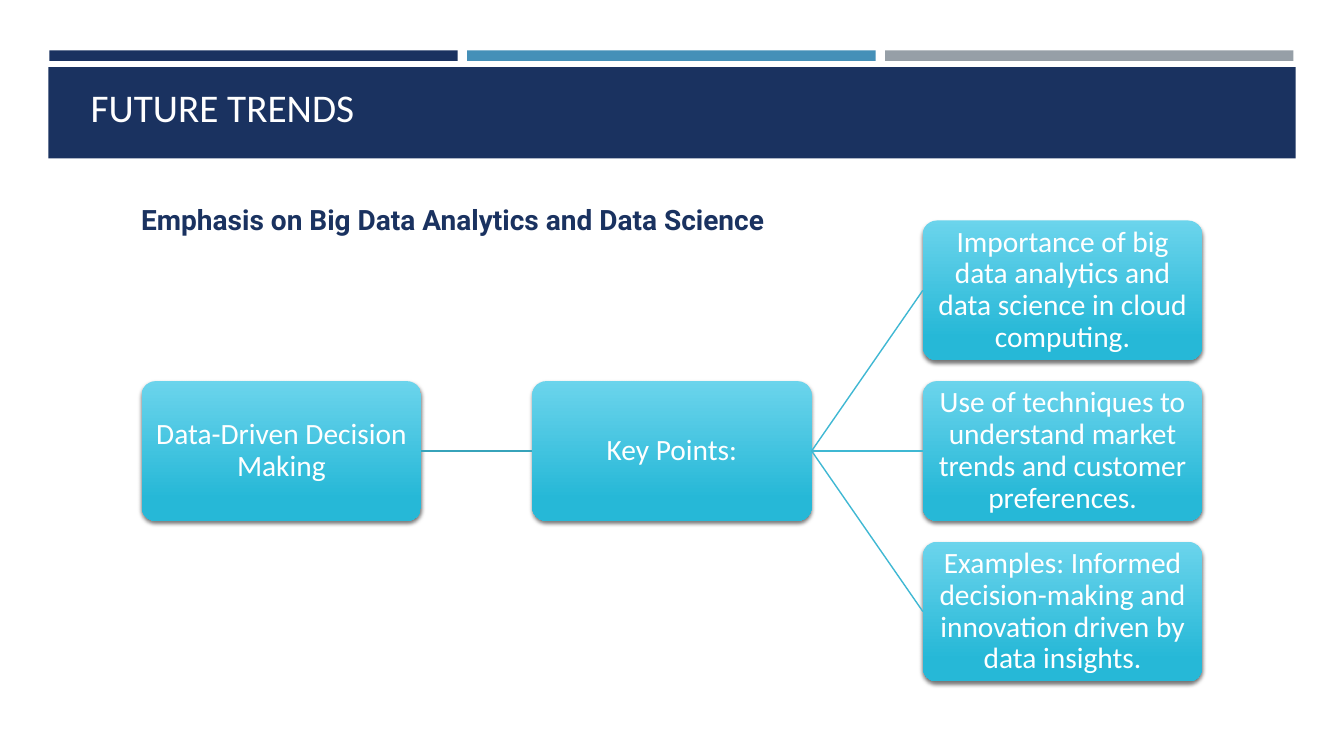
from dataclasses import dataclass

from lxml.etree import SubElement
from pptx import Presentation
from pptx.dml.color import RGBColor
from pptx.enum.shapes import MSO_CONNECTOR, MSO_SHAPE
from pptx.enum.text import MSO_ANCHOR, PP_ALIGN
from pptx.oxml.ns import qn
from pptx.shapes.autoshape import Shape
from pptx.slide import Slide
from pptx.text.text import TextFrame
from pptx.util import Emu, Pt


@dataclass(frozen=True)
class Theme:
    navy: str = "1A3260"
    blue: str = "4590B8"
    grey: str = "969FA7"
    white: str = "FFFFFF"
    node_top: str = "6BD4EC"
    node_bottom: str = "26B8D7"
    trunk: str = "37A3BA"
    branch: str = "3FB8D3"
    shadow: str = "000000"
    body_font: str = "Calibri"
    heading_font: str = "Roboto"
    title_size: int = 28
    heading_size: int = 20
    node_size: int = 21


@dataclass(frozen=True)
class Area:
    left: int
    top: int
    width: int
    height: int

    def emu(self) -> tuple[Emu, Emu, Emu, Emu]:
        return px(self.left), px(self.top), px(self.width), px(self.height)


@dataclass(frozen=True)
class Node:
    text: str
    column: int
    row: int


@dataclass(frozen=True)
class Link:
    start: int
    end: int
    color: str


THEME = Theme()
EMU_PER_PX = 9525
RIGHT_SIDE, LEFT_SIDE = 3, 1

BAR_COLORS = (THEME.navy, THEME.blue, THEME.grey)
FIRST_BAR = Area(47, 48, 389, 10)
BAR_PITCH = 398
BANNER = Area(46, 64, 1188, 87)
TITLE = Area(77, 65, 1104, 64)
HEADING = Area(125, 188, 740, 42)

FIRST_NODE = Area(135, 210, 266, 133)
COLUMN_PITCH, ROW_PITCH = 372, 153
NODES = (
    Node("Data-Driven Decision Making", 0, 1),
    Node("Key Points:", 1, 1),
    Node("Importance of big data analytics and data science in cloud computing.", 2, 0),
    Node("Use of techniques to understand market trends and customer preferences.", 2, 1),
    Node("Examples: Informed decision-making and innovation driven by data insights.", 2, 2),
)
LINKS = (
    Link(0, 1, THEME.trunk),
    Link(1, 2, THEME.branch),
    Link(1, 3, THEME.branch),
    Link(1, 4, THEME.branch),
)


def px(length: int) -> Emu:
    return Emu(length * EMU_PER_PX)


def rgb(color: str) -> RGBColor:
    return RGBColor.from_string(color)


def write(frame: TextFrame, text: str, size: int, color: str,
          font: str = THEME.body_font, bold: bool = False) -> None:
    frame.word_wrap = True
    run = frame.paragraphs[0].add_run()
    run.text = text
    run.font.name = font
    run.font.size = Pt(size)
    run.font.bold = bold
    run.font.color.rgb = rgb(color)


def add_band(slide: Slide, area: Area, color: str) -> None:
    band = slide.shapes.add_shape(MSO_SHAPE.RECTANGLE, *area.emu())
    band.shadow.inherit = False
    band.fill.solid()
    band.fill.fore_color.rgb = rgb(color)
    band.line.fill.background()


def add_label(slide: Slide, area: Area) -> TextFrame:
    return slide.shapes.add_textbox(*area.emu()).text_frame


def cast_shadow(shape: Shape) -> None:
    shape.shadow.inherit = False
    effects = shape._element.spPr.find(qn("a:effectLst"))
    outer = SubElement(effects, qn("a:outerShdw"), blurRad=str(Pt(3)), dist=str(Pt(2)),
                       dir="5400000", algn="ctr", rotWithShape="0")
    color = SubElement(outer, qn("a:srgbClr"), val=THEME.shadow)
    SubElement(color, qn("a:alpha"), val="55000")


def add_node(slide: Slide, node: Node) -> Shape:
    area = Area(FIRST_NODE.left + node.column * COLUMN_PITCH,
                FIRST_NODE.top + node.row * ROW_PITCH,
                FIRST_NODE.width, FIRST_NODE.height)
    box = slide.shapes.add_shape(MSO_SHAPE.ROUNDED_RECTANGLE, *area.emu())
    box.adjustments[0] = 0.1
    box.line.fill.background()
    box.fill.gradient()
    box.fill.gradient_angle = 270
    stops = ((0, THEME.node_top), (0.84, THEME.node_bottom))
    for stop, (position, color) in zip(box.fill.gradient_stops, stops):
        stop.position = position
        stop.color.rgb = rgb(color)
    cast_shadow(box)

    frame = box.text_frame
    frame.margin_left = frame.margin_right = px(1)
    frame.margin_top = frame.margin_bottom = px(1)
    frame.vertical_anchor = MSO_ANCHOR.MIDDLE
    frame.paragraphs[0].alignment = PP_ALIGN.CENTER
    frame.paragraphs[0].line_spacing = 0.9
    write(frame, node.text, THEME.node_size, THEME.white)
    return box


def add_link(slide: Slide, start: Shape, end: Shape, color: str) -> None:
    line = slide.shapes.add_connector(MSO_CONNECTOR.STRAIGHT, 0, 0, 0, 0)
    line.begin_connect(start, RIGHT_SIDE)
    line.end_connect(end, LEFT_SIDE)
    line.line.color.rgb = rgb(color)
    line.line.width = Pt(1)
    SubElement(line._element.spPr, qn("a:effectLst"))


def main() -> None:
    deck = Presentation()
    deck.slide_width, deck.slide_height = px(1280), px(720)
    slide = deck.slides.add_slide(deck.slide_layouts[6])

    # Header bars and title banner
    for index, color in enumerate(BAR_COLORS):
        left = FIRST_BAR.left + index * BAR_PITCH
        add_band(slide, Area(left, FIRST_BAR.top, FIRST_BAR.width, FIRST_BAR.height), color)
    add_band(slide, BANNER, THEME.navy)
    title = add_label(slide, TITLE)
    title.vertical_anchor = MSO_ANCHOR.BOTTOM
    write(title, "FUTURE TRENDS", THEME.title_size, THEME.white)

    # Section heading
    write(add_label(slide, HEADING), "Emphasis on Big Data Analytics and Data Science",
          THEME.heading_size, THEME.navy, THEME.heading_font, bold=True)

    # Decision tree
    boxes = [add_node(slide, node) for node in NODES]
    for link in LINKS:
        add_link(slide, boxes[link.start], boxes[link.end], link.color)

    deck.save("out.pptx")


if __name__ == "__main__":
    main()
